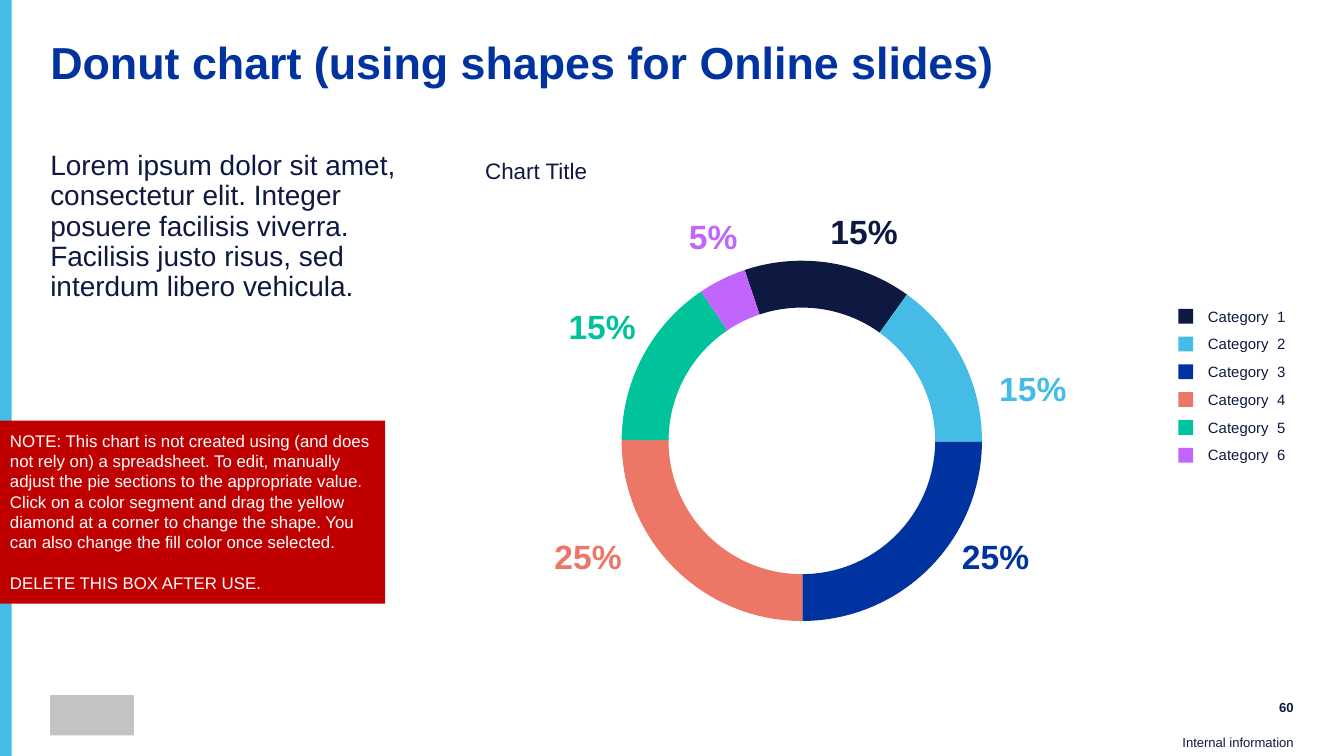
from dataclasses import dataclass
from typing import NamedTuple

from lxml.etree import SubElement as Sub
from pptx import Presentation
from pptx.dml.color import RGBColor as Rgb
from pptx.enum.shapes import MSO_SHAPE as Kind
from pptx.enum.text import MSO_ANCHOR as Anchor, MSO_AUTO_SIZE as Fit, PP_ALIGN as Align
from pptx.oxml.ns import qn
from pptx.util import Cm, Pt


@dataclass(frozen=True)
class Theme:
    font: str = "Arial"
    ink: str = "0E1941"
    sky: str = "45BCE5"
    navy: str = "0033A0"
    coral: str = "ED7766"
    green: str = "00C39C"
    violet: str = "C265FC"
    red: str = "C00000"
    grey: str = "C3C3C3"
    white: str = "FFFFFF"
    title: float = 24
    label: float = 18
    body: float = 15
    head: float = 12
    note: float = 9
    legend: float = 8
    small: float = 7


class Box(NamedTuple):
    left: float
    top: float
    width: float
    height: float

    def cm(self) -> list:
        return [Cm(side) for side in self]


class Slice(NamedTuple):
    color: str
    start: float  # degrees clockwise from three o'clock
    end: float
    share: str
    label: Box
    align: Align = Align.CENTER


T = Theme()
RING = Box(11.75, 4.93, 6.81, 6.81)
BAND = 0.13  # ring width as a part of its diameter
STEP = 0.525  # legend row pitch
PAD = 0.19

SLICES = [
    Slice(T.ink, 251.5, 305.7, "15%", Box(15.49, 3.98, 1.68, 0.76)),
    Slice(T.sky, 305.7, 0.3, "15%", Box(18.68, 6.96, 1.68, 0.76)),
    Slice(T.navy, 0.3, 89.8, "25%", Box(17.95, 10.13, 1.73, 0.76)),
    Slice(T.coral, 89.8, 180.3, "25%", Box(10.19, 10.13, 1.75, 0.76), Align.RIGHT),
    Slice(T.green, 180.3, 236, "15%", Box(10.54, 5.78, 1.68, 0.76)),
    Slice(T.violet, 236, 251.5, "5%", Box(12.72, 4.09, 1.52, 0.76)),
]

TITLE = "Donut chart (using shapes for Online slides)"
BODY = ("Lorem ipsum dolor sit amet, consectetur elit. Integer posuere facilisis "
        "viverra. Facilisis justo risus, sed interdum libero vehicula.")
NOTE = ("NOTE: This chart is not created using (and does not rely on) a spreadsheet. "
        "To edit, manually adjust the pie sections to the appropriate value. Click on "
        "a color segment and drag the yellow diamond at a corner to change the shape. "
        "You can also change the fill color once selected.")


def write(shape, *texts: str, size: float, color: str = T.ink, bold: bool = False,
          align: Align = Align.LEFT, anchor: Anchor = Anchor.TOP,
          pad: tuple = (0, 0, 0, 0), line: float = 1.0, gap: float = 0) -> None:
    """Fill a shape with one paragraph per text; pad is left, top, right, bottom."""
    frame = shape.text_frame
    frame.auto_size = Fit.NONE
    frame.word_wrap = True
    frame.vertical_anchor = anchor
    (frame.margin_left, frame.margin_top,
     frame.margin_right, frame.margin_bottom) = [Cm(side) for side in pad]
    for i, text in enumerate(texts):
        para = frame.add_paragraph() if i else frame.paragraphs[0]
        para.alignment = align
        para.line_spacing = line
        para.space_before = Pt(gap if i else 0)
        run = para.add_run()
        run.text = text
        font = run.font
        font.name, font.size, font.bold = T.font, Pt(size), bold
        font.color.rgb = Rgb.from_string(color)


def place(holder, box: Box):
    """Move a placeholder."""
    holder.left, holder.top, holder.width, holder.height = box.cm()
    return holder


def label(slide, box: Box, text: str, **form) -> None:
    write(slide.shapes.add_textbox(*box.cm()), text, **form)


def draw(slide, kind: Kind, box: Box, color: str):
    """Add a flat filled shape."""
    shape = slide.shapes.add_shape(kind, *box.cm())
    shape.shadow.inherit = False
    shape.fill.solid()
    shape.fill.fore_color.rgb = Rgb.from_string(color)
    shape.line.fill.background()
    return shape


def arc(slide, part: Slice) -> None:
    shape = draw(slide, Kind.BLOCK_ARC, RING, part.color)
    # Angles are stored in 1/60000 degree and scaled by 1/100000
    for i, value in enumerate((part.start * 0.6, part.end * 0.6, BAND)):
        shape.adjustments[i] = value
    label(slide, part.label, part.share, size=T.label, color=part.color, bold=True,
          align=part.align, anchor=Anchor.MIDDLE, pad=(PAD,) * 4)


def entry(slide, row: int, color: str) -> None:
    drop = row * STEP
    draw(slide, Kind.RECTANGLE, Box(22.27, 5.84 + drop, 0.28, 0.28), color)
    label(slide, Box(22.73, 5.81 + drop, 1.7, 0.33), f"Category  {row + 1}",
          size=T.legend, anchor=Anchor.MIDDLE, pad=(0.1, 0, 0.1, 0))


def main() -> None:
    deck = Presentation()
    deck.slide_width, deck.slide_height = Cm(25.4), Cm(14.29)
    slide = deck.slides.add_slide(deck.slide_layouts[1])

    # Side bar and logo stand-in
    draw(slide, Kind.RECTANGLE, Box(0, 0, 0.22, 14.29), T.sky)
    draw(slide, Kind.RECTANGLE, Box(0.95, 13.14, 1.58, 0.76), T.grey)

    # Title and body
    title = place(slide.shapes.title, Box(0.95, 0.77, 23.5, 1.24))
    write(title, TITLE, size=T.title, color=T.navy, bold=True, line=0.9)
    body = place(slide.placeholders[1], Box(0.95, 2.86, 7.24, 9.91))
    props = body.text_frame.paragraphs[0]._p.get_or_add_pPr()
    props.set("marL", "0")
    props.set("indent", "0")
    Sub(props, qn("a:buNone"))
    write(body, BODY, size=T.body, line=0.9)

    # Donut and legend
    label(slide, Box(9.07, 2.88, 4.11, 0.71), "Chart Title", size=T.head, pad=(0.1,) * 4)
    for row, part in enumerate(SLICES):
        arc(slide, part)
        entry(slide, row, part.color)

    # Note
    note = draw(slide, Kind.RECTANGLE, Box(0, 7.95, 7.28, 3.46), T.red)
    write(note, NOTE, "DELETE THIS BOX AFTER USE.", size=T.note, color=T.white,
          pad=(PAD,) * 4, gap=10.9)

    # Footer
    label(slide, Box(22.95, 13.14, 1.5, 0.46), "60", size=T.small, bold=True,
          align=Align.RIGHT, anchor=Anchor.MIDDLE)
    label(slide, Box(22.15, 13.89, 2.3, 0.41), "Internal information", size=T.small,
          align=Align.RIGHT, anchor=Anchor.BOTTOM, pad=(0, 0, 0, 0.13))

    deck.save("out.pptx")


if __name__ == "__main__":
    main()
